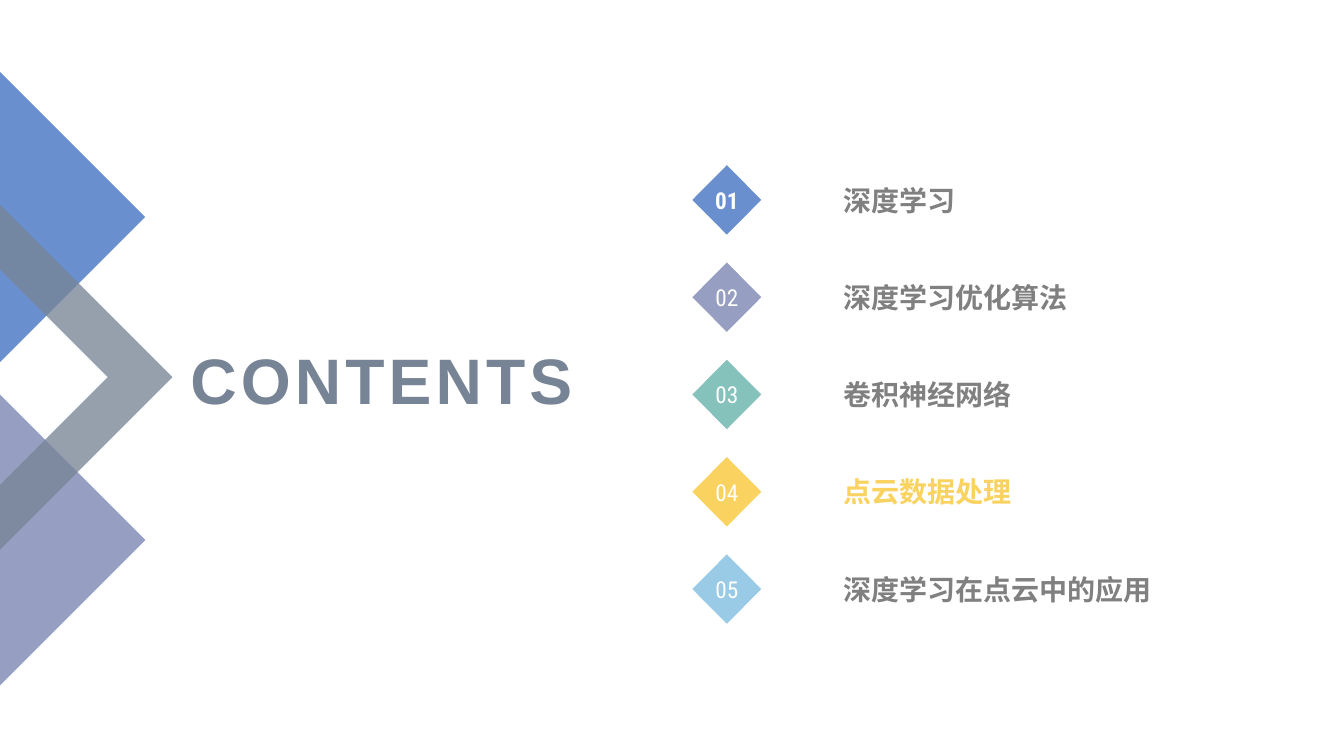
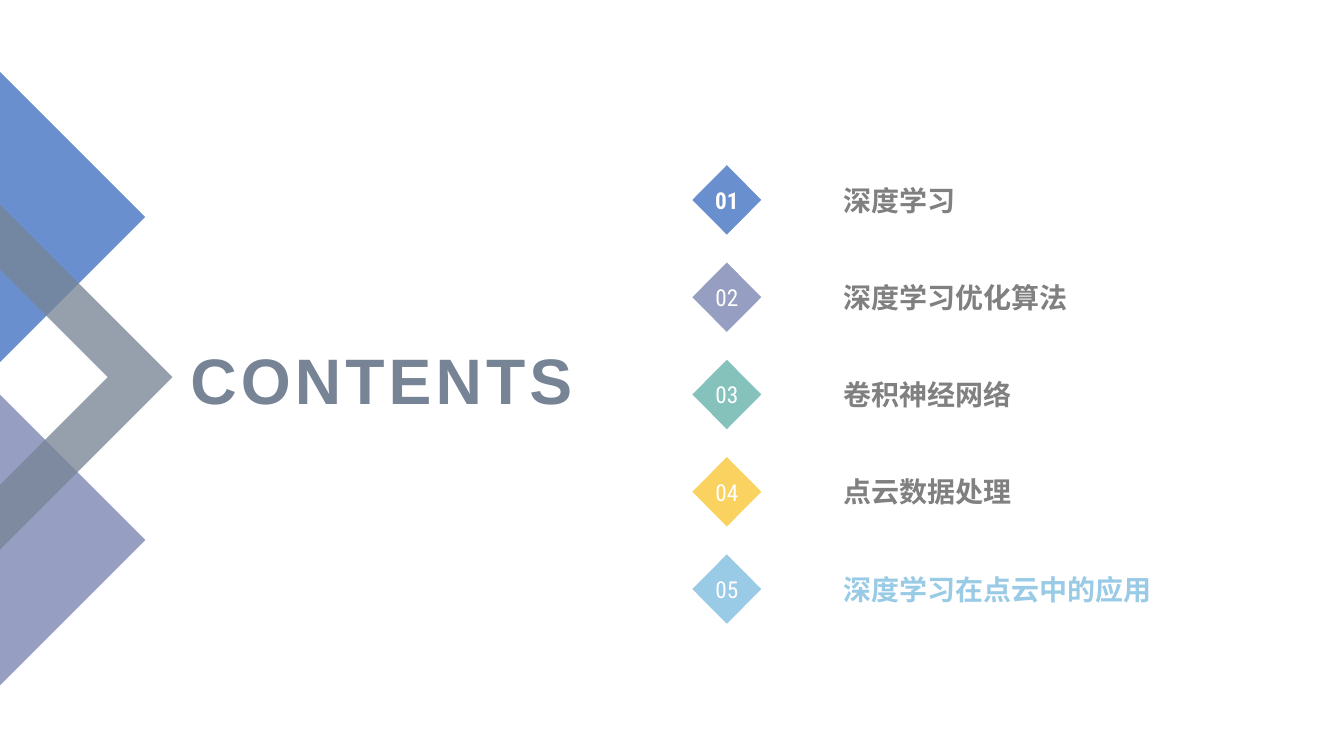
from pptx import Presentation
from pptx.dml.color import RGBColor
from pptx.enum.shapes import MSO_SHAPE
from pptx.enum.text import MSO_ANCHOR, PP_ALIGN
from pptx.oxml import parse_xml
from pptx.oxml.ns import nsdecls, qn
from pptx.util import Pt

DIAMOND = MSO_SHAPE.DIAMOND
MIDDLE, BOTTOM = MSO_ANCHOR.MIDDLE, MSO_ANCHOR.BOTTOM
LEFT, CENTER, RIGHT = PP_ALIGN.LEFT, PP_ALIGN.CENTER, PP_ALIGN.RIGHT

BLUE, PURPLE, TEAL = "698FCE", "969EC2", "85C2BC"
YELLOW, SKY = "FAD25F", "99CAE6"
SLATE, GRAY, WHITE = "778495", "808080", "FFFFFF"

CHAPTERS = [
    ("深度学习", BLUE),
    ("深度学习优化算法", PURPLE),
    ("卷积神经网络", TEAL),
    ("点云数据处理", YELLOW),
    ("深度学习在点云中的应用", SKY),
]
ROW_PITCH = 69.5


def color(value):
    return RGBColor.from_string(value)


class Deck:
    text_font = "Arial"
    number_font = "Roboto Condensed"

    def __init__(self):
        self.deck = Presentation()
        self.deck.slide_width = Pt(960)
        self.deck.slide_height = Pt(540)
        self.page = None

    def add_page(self):
        self.page = self.deck.slides.add_slide(self.deck.slide_layouts[6])

    def paint(self, shape, fill, opacity=100):
        shape.shadow.inherit = False
        shape.fill.solid()
        shape.fill.fore_color.rgb = color(fill)
        shape.line.fill.background()
        if opacity < 100:
            tint = shape.fill._xPr.find(".//" + qn("a:srgbClr"))
            tint.append(parse_xml(f'<a:alpha {nsdecls("a")} val="{opacity * 1000}"/>'))

    def set_text(self, shape, text, size, ink, font, bold, align, anchor, wrap=True, spacing=0):
        frame = shape.text_frame
        frame.word_wrap = wrap
        frame.vertical_anchor = anchor
        para = frame.paragraphs[0]
        para.alignment = align
        span = para.add_run()
        span.text = text
        span.font.name = font
        span.font.size = Pt(size)
        span.font.bold = bold
        span.font.color.rgb = color(ink)
        if spacing:
            span._r.get_or_add_rPr().set("spc", str(spacing * 100))

    def outline(self, points, fill, opacity=100):
        corners = [(Pt(x), Pt(y)) for x, y in points]
        builder = self.page.shapes.build_freeform(*corners[0])
        builder.add_line_segments(corners[1:], close=True)
        self.paint(builder.convert_to_shape(), fill, opacity)

    def half_diamond(self, middle, radius, fill):
        self.outline([(0, middle - radius), (radius, middle), (0, middle + radius)], fill)

    def chevron(self, middle, outer, inner, fill, opacity):
        self.outline([(outer, middle), (0, middle + outer), (0, middle + inner),
                      (inner, middle), (0, middle - inner), (0, middle - outer)], fill, opacity)

    def text_box(self, left, top, width, height, text, size, ink, align, anchor, spacing=0):
        box = self.page.shapes.add_textbox(Pt(left), Pt(top), Pt(width), Pt(height))
        self.set_text(box, text, size, ink, self.text_font, True, align, anchor, spacing=spacing)

    def number(self, left, top, text, fill, bold):
        badge = self.page.shapes.add_shape(DIAMOND, Pt(left), Pt(top), Pt(49.2), Pt(49.6))
        self.paint(badge, fill)
        self.set_text(badge, text, 16.6, WHITE, self.number_font, bold, CENTER, MIDDLE, wrap=False)

    def contents(self, current):
        self.add_page()
        self.half_diamond(385.7, 103.9, PURPLE)
        self.half_diamond(155, 103.7, BLUE)
        self.chevron(269.4, 123.2, 77, SLATE, 77)
        self.text_box(121.7, 234, 294.5, 72.7, "CONTENTS", 45.9, SLATE, RIGHT, MIDDLE, spacing=3)
        for row, (title, tone) in enumerate(CHAPTERS):
            offset = row * ROW_PITCH
            ink = tone if row + 1 == current else GRAY
            self.number(494.6, 118 + offset, f"{row + 1:02d}", tone, row == 0)
            self.text_box(595.4, 127.5 + offset, 260, 30.8, title, 20, ink, LEFT, BOTTOM)


def main():
    show = Deck()
    for current in (4, 5):
        show.contents(current)
    show.deck.save("out.pptx")


if __name__ == "__main__":
    main()
